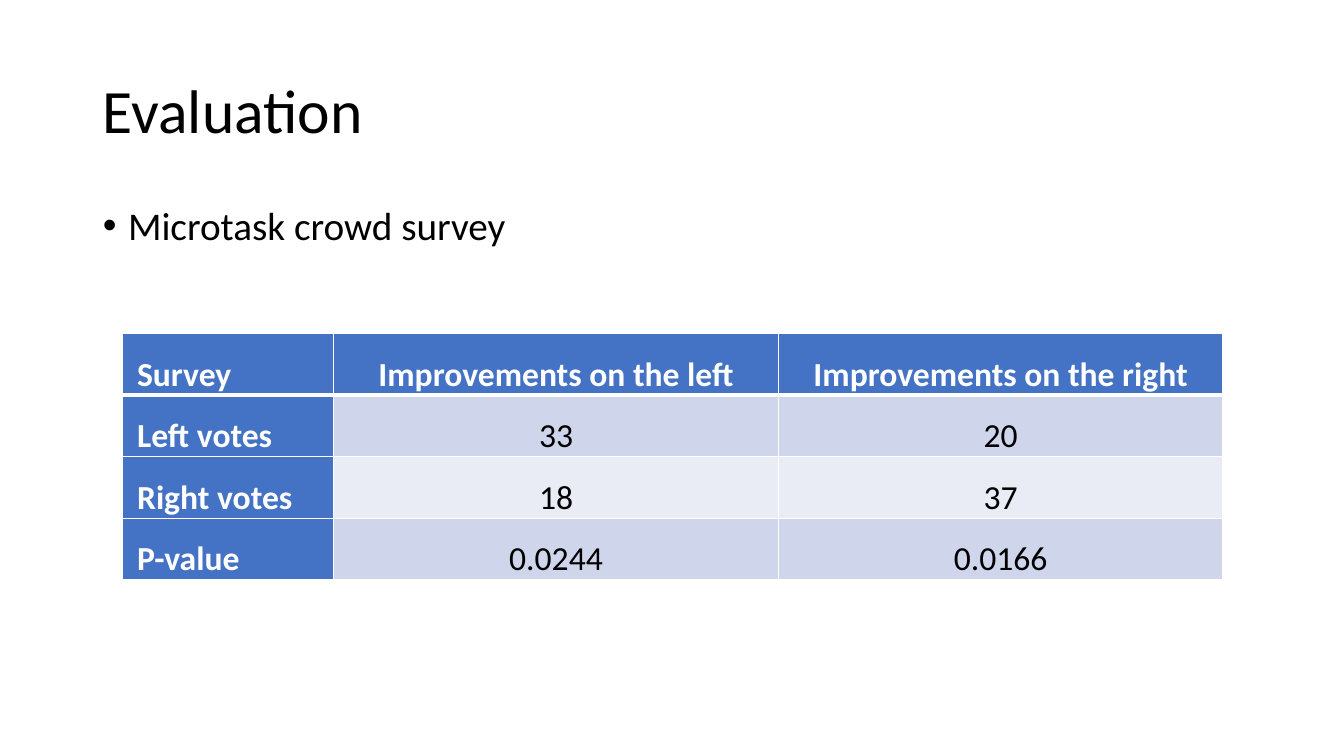
from dataclasses import dataclass

from lxml import etree
from pptx import Presentation
from pptx.dml.color import RGBColor
from pptx.enum.text import MSO_ANCHOR, MSO_AUTO_SIZE, PP_ALIGN
from pptx.oxml.ns import qn
from pptx.util import Inches, Pt

LEFT, CENTER = PP_ALIGN.LEFT, PP_ALIGN.CENTER
TOP, MIDDLE = MSO_ANCHOR.TOP, MSO_ANCHOR.MIDDLE
NO_FIT = MSO_AUTO_SIZE.NONE

# Content
TITLE = "Evaluation"
BULLETS = ["Microtask crowd survey"]
SURVEY = [
    ("Survey", "Improvements on the left", "Improvements on the right"),
    ("Left votes", "33", "20"),
    ("Right votes", "18", "37"),
    ("P-value", "0.0244", "0.0166"),
]


@dataclass(frozen=True)
class Theme:
    font: str = "Calibri"
    text: str = "000000"
    white: str = "FFFFFF"
    accent: str = "4472C4"
    bands: tuple = ("CFD5EA", "E9EBF5")
    title_size: int = 44
    body_size: int = 28
    table_size: int = 24
    rule: int = 1
    header_rule: int = 3


# Layout in inches
SLIDE_W, SLIDE_H = 13.33, 7.5
MARGIN, CONTENT_W = 0.92, 11.5
TITLE_BOX = (MARGIN, 0.4, CONTENT_W, 1.45)
BODY_BOX = (MARGIN, 2, CONTENT_W, 4.76)
TABLE_LEFT, TABLE_TOP = 1.21, 3.31
COL_WIDTHS = (2.1, 4.41, 4.41)
ROW_H, CELL_PAD, INDENT = 0.53, 0.15, 0.25

theme = Theme()


def add_run(p, text, size, color, bold=False):
    r = p.add_run()
    r.text = text
    r.font.name, r.font.size, r.font.bold = theme.font, Pt(size), bold
    r.font.color.rgb = RGBColor.from_string(color)


def place(sp, box, anchor):
    sp.left, sp.top, sp.width, sp.height = map(Inches, box)
    tf = sp.text_frame
    tf.auto_size, tf.vertical_anchor, tf.word_wrap = NO_FIT, anchor, True
    return tf


def add_bullet(p):
    pPr = p._p.get_or_add_pPr()
    pPr.set("marL", str(Inches(INDENT)))
    pPr.set("indent", str(-Inches(INDENT)))
    etree.SubElement(pPr, qn("a:buFont")).set("typeface", "Arial")
    etree.SubElement(pPr, qn("a:buChar")).set("char", "•")


def set_borders(cell, top, bottom):
    tcPr = cell._tc.get_or_add_tcPr()
    widths = {"lnL": theme.rule, "lnR": theme.rule, "lnT": top, "lnB": bottom}
    for i, (side, width) in enumerate(widths.items()):
        ln = etree.Element(qn(f"a:{side}"), w=str(Pt(width)))
        fill = etree.SubElement(ln, qn("a:solidFill"))
        etree.SubElement(fill, qn("a:srgbClr")).set("val", theme.white)
        tcPr.insert(i, ln)


def fill_cell(cell, text, row, col):
    heading = row == 0 or col == 0
    fill = theme.accent if heading else theme.bands[(row - 1) % 2]
    cell.fill.solid()
    cell.fill.fore_color.rgb = RGBColor.from_string(fill)
    cell.margin_left = cell.margin_right = Inches(CELL_PAD)
    cell.margin_top = cell.margin_bottom = 0
    p = cell.text_frame.paragraphs[0]
    p.alignment = CENTER if col else LEFT
    p.line_spacing = 1.5
    add_run(p, text, theme.table_size, theme.white if heading else theme.text, heading)
    set_borders(cell,
                top=theme.header_rule if row == 1 else theme.rule,
                bottom=theme.header_rule if row == 0 else theme.rule)


def main():
    prs = Presentation()
    prs.slide_width, prs.slide_height = Inches(SLIDE_W), Inches(SLIDE_H)
    s = prs.slides.add_slide(prs.slide_layouts[1])

    # Title
    p = place(s.shapes.title, TITLE_BOX, MIDDLE).paragraphs[0]
    p.alignment, p.line_spacing = LEFT, 0.9
    add_run(p, TITLE, theme.title_size, theme.text)

    # Bullet list
    tf = place(s.placeholders[1], BODY_BOX, TOP)
    for i, text in enumerate(BULLETS):
        p = tf.add_paragraph() if i else tf.paragraphs[0]
        p.line_spacing, p.space_before = 0.9, Pt(10)
        add_bullet(p)
        add_run(p, text, theme.body_size, theme.text)

    # Survey table
    table = s.shapes.add_table(
        len(SURVEY), len(COL_WIDTHS), Inches(TABLE_LEFT), Inches(TABLE_TOP),
        Inches(sum(COL_WIDTHS)), Inches(ROW_H * len(SURVEY))).table
    table.first_col = True
    for column, width in zip(table.columns, COL_WIDTHS):
        column.width = Inches(width)
    for row, values in enumerate(SURVEY):
        for col, text in enumerate(values):
            fill_cell(table.cell(row, col), text, row, col)

    prs.save("out.pptx")


if __name__ == "__main__":
    main()
